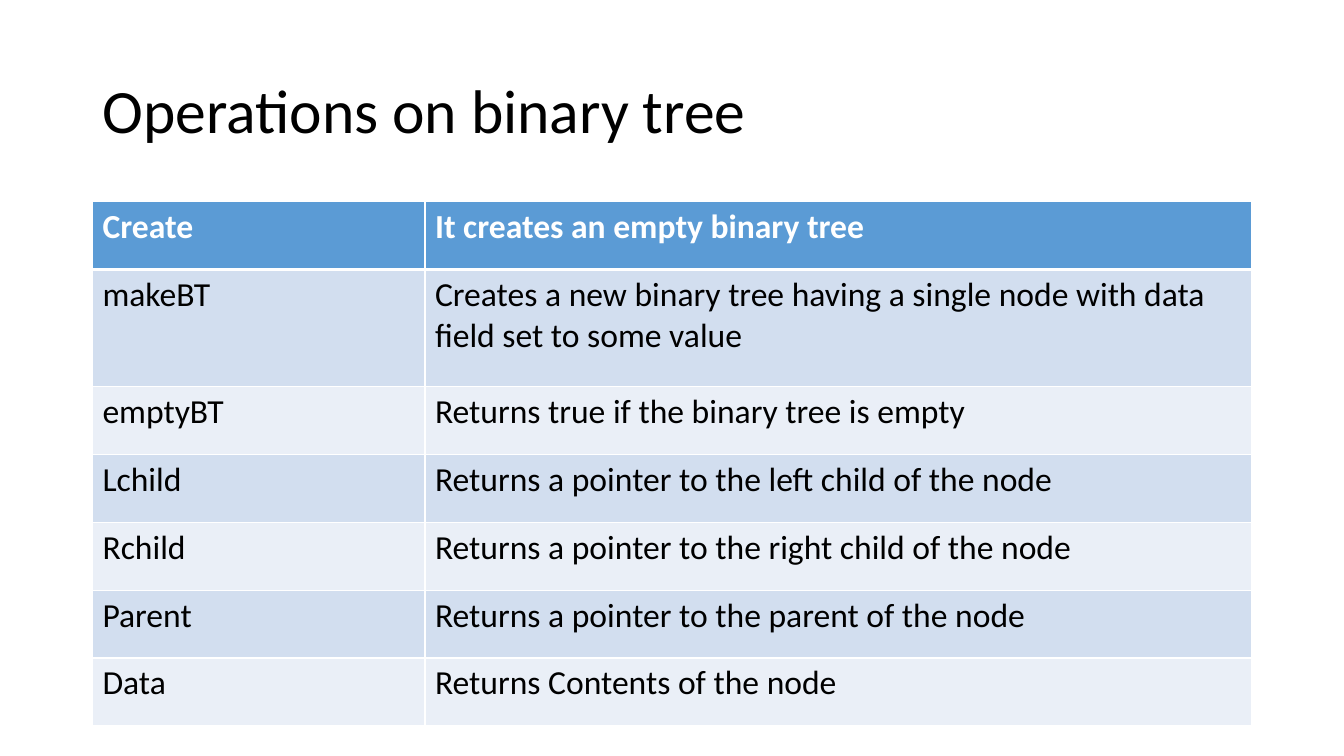
from lxml import etree
from pptx import Presentation
from pptx.dml.color import RGBColor
from pptx.enum.text import MSO_ANCHOR
from pptx.oxml.ns import qn
from pptx.util import Cm, Pt

MIDDLE = MSO_ANCHOR.MIDDLE

TITLE = "Operations on binary tree"
OPERATIONS = [
    ("Create", "It creates an empty binary tree"),
    ("makeBT", "Creates a new binary tree having a single node with data field set to some value"),
    ("emptyBT", "Returns true if the binary tree is empty"),
    ("Lchild", "Returns a pointer to the left child of the node"),
    ("Rchild", "Returns a pointer to the right child of the node"),
    ("Parent", "Returns a pointer to the parent of the node"),
    ("Data", "Returns Contents of the node"),
]
FONT = "Calibri"
BLACK, WHITE = "000000", "FFFFFF"
HEADER_FILL = "5B9BD5"
BAND_FILLS = ("EAEFF7", "D2DEEF")
LEFT, WIDTH = 2.33, 29.21
COLUMN_WIDTHS = (8.38, 20.83)
ROW_HEIGHT, TALL_ROW_HEIGHT = 1.71, 2.95
TALL_ROW = 1


def color(value):
    return RGBColor.from_string(value)


def format_text(para, size, value, bold=False):
    for span in para.runs:
        span.font.name = FONT
        span.font.size = Pt(size)
        span.font.bold = bold
        span.font.color.rgb = color(value)


def add_border(cell, side, points):
    properties = cell._tc.get_or_add_tcPr()
    line = etree.SubElement(properties, qn(f"a:{side}"), w=str(Pt(points)))
    fill = etree.SubElement(line, qn("a:solidFill"))
    etree.SubElement(fill, qn("a:srgbClr"), val=WHITE)


def add_title(page):
    box = page.shapes.add_textbox(Cm(LEFT), Cm(1.01), Cm(WIDTH), Cm(3.68))
    frame = box.text_frame
    frame.word_wrap = True
    frame.vertical_anchor = MIDDLE
    frame.text = TITLE
    para = frame.paragraphs[0]
    para.line_spacing = 0.9
    format_text(para, 44, BLACK)


def fill_cell(cell, text, row):
    header = row == 0
    borders = {"lnL": 1, "lnR": 1, "lnT": 3 if row == 1 else 1, "lnB": 3 if header else 1}
    for side, points in borders.items():
        add_border(cell, side, points)
    cell.fill.solid()
    cell.fill.fore_color.rgb = color(HEADER_FILL if header else BAND_FILLS[row % 2])
    cell.text_frame.text = text
    format_text(cell.text_frame.paragraphs[0], 24, WHITE if header else BLACK, header)


def add_operations(page):
    heights = [TALL_ROW_HEIGHT if row == TALL_ROW else ROW_HEIGHT for row in range(len(OPERATIONS))]
    table = page.shapes.add_table(
        len(OPERATIONS), len(COLUMN_WIDTHS), Cm(LEFT), Cm(5.08), Cm(WIDTH), Cm(sum(heights))
    ).table
    for column, width in zip(table.columns, COLUMN_WIDTHS):
        column.width = Cm(width)
    for row, (height, operation) in enumerate(zip(heights, OPERATIONS)):
        table.rows[row].height = Cm(height)
        for column, text in enumerate(operation):
            fill_cell(table.cell(row, column), text, row)


def main():
    deck = Presentation()
    deck.slide_width, deck.slide_height = Cm(33.87), Cm(19.05)
    page = deck.slides.add_slide(deck.slide_layouts[6])
    add_title(page)
    add_operations(page)
    deck.save("out.pptx")


if __name__ == "__main__":
    main()
